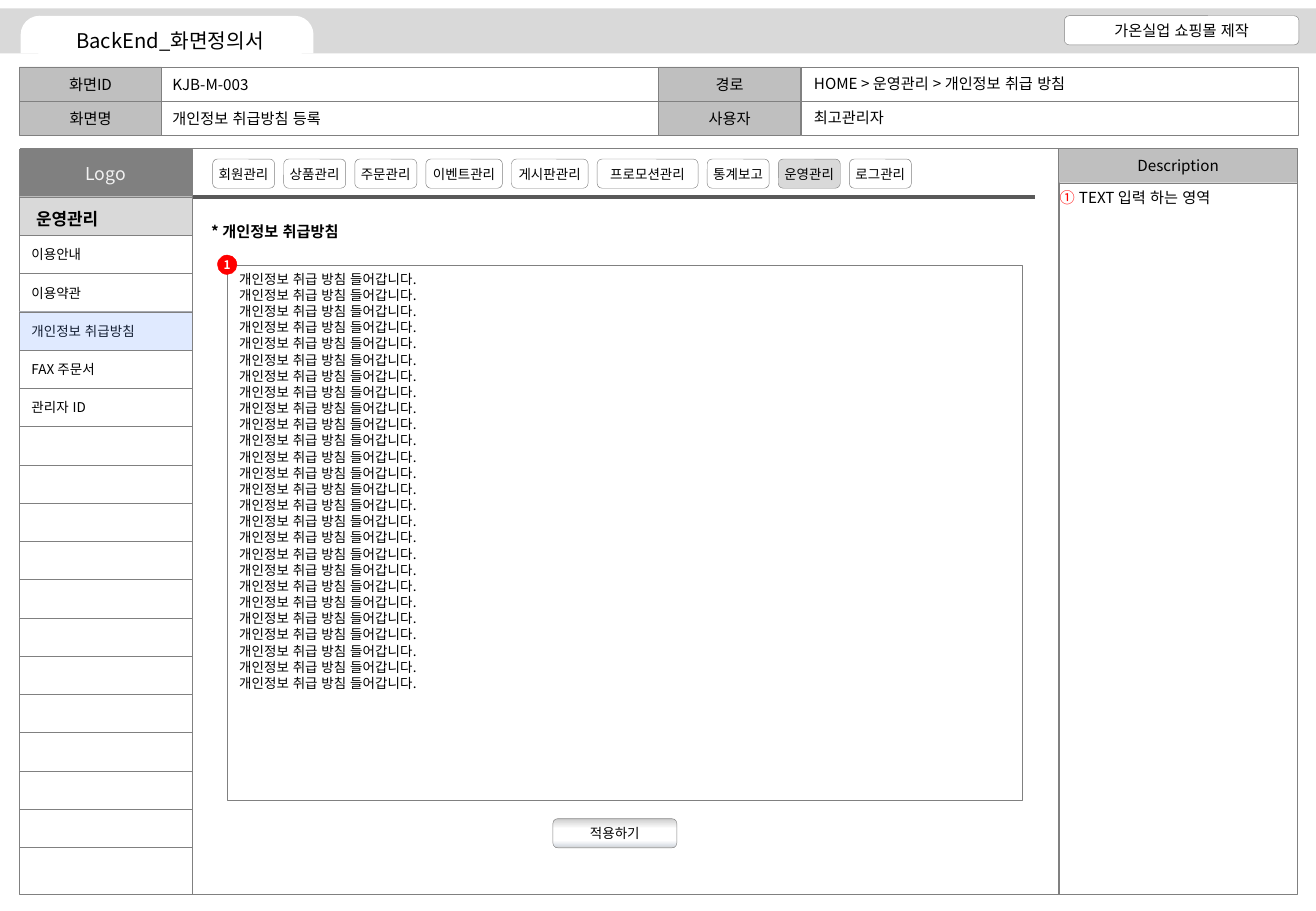
from lxml import etree
from pptx import Presentation
from pptx.dml.color import RGBColor
from pptx.enum.lang import MSO_LANGUAGE_ID
from pptx.enum.shapes import MSO_CONNECTOR, MSO_SHAPE
from pptx.enum.text import MSO_ANCHOR, PP_ALIGN
from pptx.oxml.ns import qn
from pptx.util import Inches, Pt

RECT, ROUND, TAB, OVAL = (MSO_SHAPE.RECTANGLE, MSO_SHAPE.ROUNDED_RECTANGLE,
                          MSO_SHAPE.ROUND_2_SAME_RECTANGLE, MSO_SHAPE.OVAL)
LEFT, CENTER = PP_ALIGN.LEFT, PP_ALIGN.CENTER
TOP, MIDDLE = MSO_ANCHOR.TOP, MSO_ANCHOR.MIDDLE
KOREAN = MSO_LANGUAGE_ID.KOREAN
STRAIGHT = MSO_CONNECTOR.STRAIGHT

WHITE, BLACK, RED = "FFFFFF", "000000", "FF0000"
GRAY, SILVER, PALE, DARK = "808080", "BFBFBF", "D9D9D9", "595959"
BUTTON_STOPS = [(0, SILVER), (8, PALE), (34, WHITE), (74, WHITE),
                (93, "DDE1E7"), (100, "CCCCCC")]

INFO_ROWS = [
    [("화면ID", "KJB-M-003", 8.3),
     ("경로", "HOME > 운영관리 > 개인정보 취급 방침", 25.2)],
    [("화면명", "개인정보 취급방침 등록", 15.5), ("사용자", "최고관리자", 8.6)],
]
NAV_TABS = ["회원관리", "상품관리", "주문관리", "이벤트관리", "게시판관리",
            "프로모션관리", "통계보고", "운영관리", "로그관리"]
NAV_WIDTHS = {4: 5.1, 5: 6.3, 6: 8.3}
NAV_GAP = 0.75
CURRENT_TAB = "운영관리"
MENU = ["이용안내", "이용약관", "개인정보 취급방침", "FAX 주문서", "관리자 ID"]
CURRENT_ITEM = "개인정보 취급방침"
MENU_SLOTS, MENU_TOP, MENU_PITCH = 16, 19.37, 3.15
POLICY_LINES = ["개인정보 취급 방침 들어갑니다."] * 26


def color(hex_string):
    return RGBColor.from_string(hex_string)


def add_color(parent, hex_string):
    return etree.SubElement(parent, qn("a:srgbClr"), val=hex_string)


class Wireframe:
    """Draws on one slide; lengths are columns and rows of a tenth of an inch."""

    font = "Noto Sans CJK KR"
    columns, rows = 108.3, 75

    def __init__(self):
        self.deck = Presentation()
        self.deck.slide_width = Inches(10.83)
        self.deck.slide_height = Inches(7.5)
        self.page = self.deck.slides.add_slide(self.deck.slide_layouts[6])

    def place(self, x, y):
        return (round(self.deck.slide_width * x / self.columns),
                round(self.deck.slide_height * y / self.rows))

    def set_text(self, box, lines, size=9, ink=BLACK, bold=False, align=CENTER,
                 anchor=MIDDLE, inset=True, wrap=True):
        frame = box.text_frame
        layout = {"word_wrap": wrap, "vertical_anchor": anchor}
        if not inset:
            layout.update(margin_left=0, margin_right=0,
                          margin_top=0, margin_bottom=0)
        for name, value in layout.items():
            setattr(frame, name, value)
        style = {"name": self.font, "size": Pt(size), "bold": bold,
                 "language_id": KOREAN}
        for index, line in enumerate(lines):
            para = frame.paragraphs[0] if index == 0 else frame.add_paragraph()
            para.alignment = align
            span = para.add_run()
            span.text = line
            for name, value in style.items():
                setattr(span.font, name, value)
            span.font.color.rgb = color(ink)
            etree.SubElement(span._r.get_or_add_rPr(), qn("a:ea"),
                             typeface=self.font)

    def box(self, x, y, width, height, text=None, kind=RECT, fill=None,
            line=GRAY, **text_format):
        shape = self.page.shapes.add_shape(
            kind, *self.place(x, y), *self.place(width, height))
        shape.shadow.inherit = False
        if fill:
            shape.fill.solid()
            shape.fill.fore_color.rgb = color(fill)
        else:
            shape.fill.background()
        if line:
            shape.line.color.rgb = color(line)
            shape.line.width = Pt(0.25)
        else:
            shape.line.fill.background()
        if text:
            lines = [text] if isinstance(text, str) else text
            self.set_text(shape, lines, **text_format)
        return shape

    def button(self, x, y, width, text, fill=WHITE):
        return self.box(x, y, width, 2.4, text, ROUND, fill,
                        size=8, inset=False)

    def label(self, x, y, width, height, text, wrap=False, **text_format):
        box = self.page.shapes.add_textbox(
            *self.place(x, y), *self.place(width, height))
        self.set_text(box, [text], align=LEFT, anchor=TOP, wrap=wrap,
                      **text_format)
        return box

    def rule(self, x, y, end_x, ink, weight):
        line = self.page.shapes.add_connector(
            STRAIGHT, *self.place(x, y), *self.place(end_x, y))
        line.line.color.rgb = color(ink)
        line.line.width = Pt(weight)
        etree.SubElement(line._element.spPr, qn("a:effectLst"))

    def shade(self, shape, stops):
        """Fill a shape from top to bottom with (percent, colour) stops."""
        shape.fill.gradient()
        shape.fill.gradient_angle = 270
        stop_list = shape._element.spPr.find(".//" + qn("a:gsLst"))
        for stop in list(stop_list):
            stop_list.remove(stop)
        for percent, hex_string in stops:
            stop = etree.SubElement(stop_list, qn("a:gs"),
                                    pos=str(percent * 1000))
            add_color(stop, hex_string)

    def fade(self, shape, percent):
        tint = shape._element.spPr.find(qn("a:solidFill")).find(qn("a:srgbClr"))
        etree.SubElement(tint, qn("a:alpha"), val=str(percent * 1000))

    def number(self, box, ink):
        """Give a text box circled numbers with a hanging indent."""
        hang = Inches(0.16)
        for para in box.text_frame.paragraphs:
            props = para._p.get_or_add_pPr()
            props.set("marL", str(hang))
            props.set("indent", str(-hang))
            add_color(etree.SubElement(props, qn("a:buClr")), ink)
            etree.SubElement(props, qn("a:buAutoNum"), type="circleNumDbPlain")


def draw_header(sheet):
    sheet.box(0, 0.7, 108.3, 3.7, fill=PALE, line=None)
    tab = sheet.box(1.7, 1.3, 24.1, 3.1, kind=TAB, fill=WHITE, line=None)
    tab.adjustments[0] = 0.5
    sheet.box(3, 2.1, 22, 2.4, "BackEnd_화면정의서", ROUND, WHITE, None, size=12)
    sheet.box(87.6, 1.3, 19.3, 2.4, "가온실업 쇼핑몰 제작", ROUND, WHITE)
    for row, pairs in enumerate(INFO_ROWS):
        y = 5.5 + 2.83 * row
        for column, (name, value, width) in enumerate(pairs):
            x = 1.6 + 52.6 * column
            sheet.box(x, y, 11.7, 2.83, name, fill=SILVER)
            sheet.box(x + 11.7, y, 40.9, 2.83)
            sheet.label(x + 11.6 + 0.2 * column, y + 0.2 - 0.1 * column,
                        width, 2.5, value)


def draw_sidebar(sheet):
    sheet.box(1.6, 16.1, 14.2, 57.5, fill=WHITE)
    sheet.box(1.6, 12.3, 14.2, 3.9, "Logo", fill=GRAY, size=10.5, ink="F2F2F2")
    sheet.box(1.6, 16.2, 14.2, 3.15, fill=PALE)
    sheet.label(2, 16.7, 12, 2.7, "운영관리", wrap=True, size=10, bold=True)
    for slot in range(MENU_SLOTS):
        item = MENU[slot] if slot < len(MENU) else None
        place = (1.6, MENU_TOP + MENU_PITCH * slot, 14.2, MENU_PITCH)
        sheet.box(*place, item, fill=WHITE, size=8, align=LEFT)
        if item == CURRENT_ITEM:
            sheet.fade(sheet.box(*place, fill="6699FF"), 20)


def draw_content(sheet):
    x = 17.5
    for tab in NAV_TABS:
        width = NAV_WIDTHS[len(tab)]
        sheet.button(x, 13.1, width, tab, PALE if tab == CURRENT_TAB else WHITE)
        x += width + NAV_GAP
    sheet.rule(15.9, 16.2, 85.2, DARK, 2.25)
    sheet.label(16.4, 17.8, 13.6, 2.5, "* 개인정보 취급방침", bold=True)
    sheet.box(18.7, 21.8, 65.4, 44.1, POLICY_LINES, size=8, align=LEFT,
              anchor=TOP)
    sheet.shade(sheet.button(45.5, 67.4, 10.2, "적용하기"), BUTTON_STOPS)
    sheet.box(17.9, 21, 1.6, 1.6, "1", OVAL, RED, RED, size=7, ink=WHITE,
              bold=True, inset=False)


def draw_description(sheet):
    sheet.box(87.1, 12.2, 19.7, 2.85, "Description", fill=SILVER)
    sheet.box(87.1, 15.05, 19.7, 58.6)
    notes = sheet.label(87.2, 15.5, 19.7, 58.3, "TEXT 입력 하는 영역",
                        wrap=True, inset=False)
    sheet.number(notes, RED)


def main():
    sheet = Wireframe()
    sheet.box(1.7, 12.2, 85.5, 61.4)
    draw_header(sheet)
    draw_sidebar(sheet)
    draw_content(sheet)
    draw_description(sheet)
    sheet.deck.save("out.pptx")


if __name__ == "__main__":
    main()
